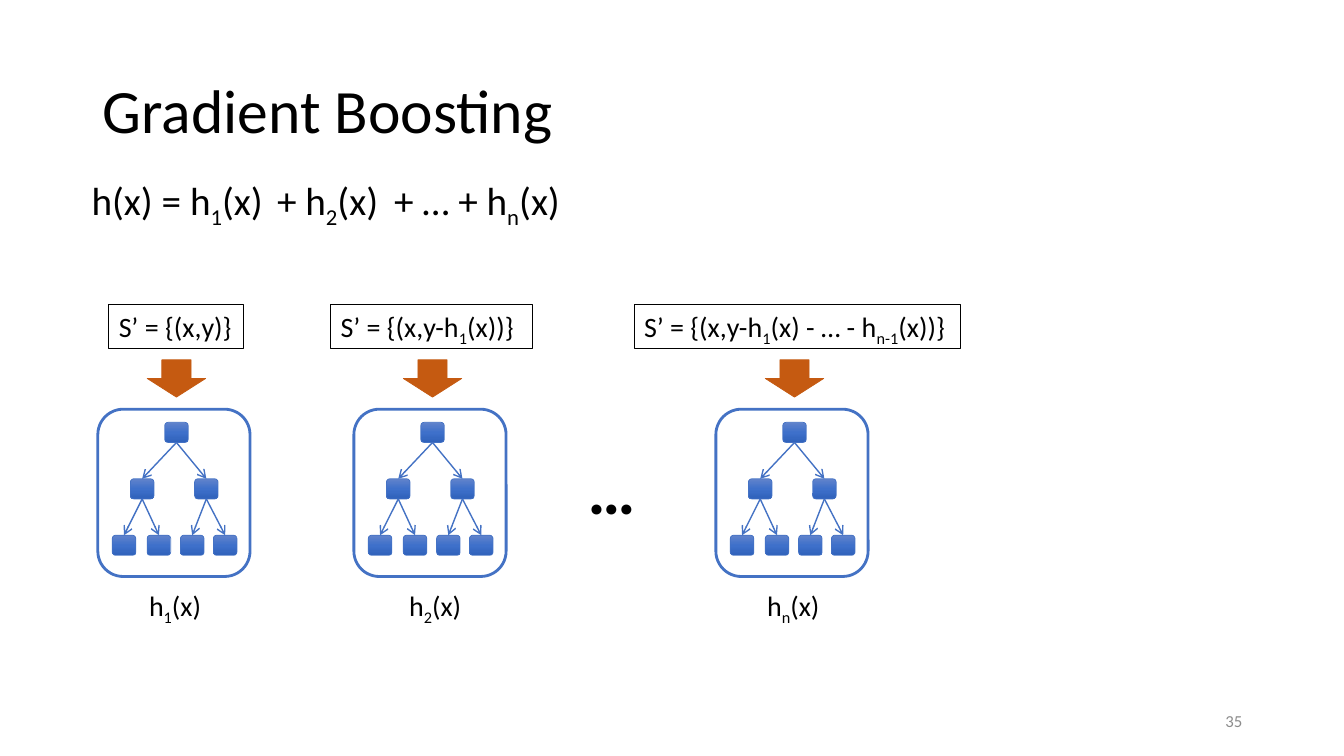
from copy import deepcopy

from lxml.etree import SubElement
from pptx import Presentation
from pptx.dml.color import RGBColor
from pptx.enum.shapes import MSO_CONNECTOR as Connector, MSO_SHAPE as Shape
from pptx.enum.text import MSO_ANCHOR as Anchor, PP_ALIGN as Align
from pptx.oxml.ns import qn
from pptx.util import Inches, Pt

COLORS = {
    "text": "000000", "number": "8C8C8C", "blue": "4472C4", "orange": "C55A11",
    "node_top": "6183CB", "node_middle": "3E70CA", "node_bottom": "3062BB",
}
FONT = "Calibri"

# The slide is a grid of 40 columns by 22.5 rows of square cells
SLIDE_WIDTH, SLIDE_HEIGHT = Inches(13.33), Inches(7.5)
CELL = SLIDE_HEIGHT / 22.5

# Tree levels: top of each level, and the node centres along it
TREE_LEVELS = [
    (0.39, [2.34]),
    (2.07, [1.32, 3.23]),
    (3.75, [0.78, 1.82, 2.81, 3.79]),
]
TREE_WIDTH, TREE_HEIGHT = 4.53, 4.98
TREE_CENTER = 2.34
NODE_WIDTH, NODE_HEIGHT = 0.7, 0.6

# In formulas, every second part is a subscript
EQUATION = [
    (2.43, 5.82, ["h(x) = h", "1", "(x)"]),
    (7.95, 3.69, ["+ h", "2", "(x)"]),
    (11.43, 5.64, ["+ … + h", "n", "(x)"]),
]
# Tree left, data box left and width, data formula, label left, label index
STAGES = [
    (2.91, 3.24, 4, ["S’ = {(x,y)}"], 4.14, "1"),
    (10.53, 9.84, 6, ["S’ = {(x,y-h", "1", "(x))}"], 11.88, "2"),
    (21.3, 18.87, 9.7, ["S’ = {(x,y-h", "1", "(x) - … - h", "n-1", "(x))}"], 22.53, "n"),
]


def color(name):
    return RGBColor.from_string(COLORS[name])


def cells(*lengths):
    return [round(length * CELL) for length in lengths]


def add_text(slide, box, parts, size, color_name="text", bold=False,
             anchor=Anchor.TOP, align=Align.LEFT):
    shape = slide.shapes.add_textbox(*cells(*box))
    frame = shape.text_frame
    frame.word_wrap = True
    frame.vertical_anchor = anchor
    if align == Align.LEFT:
        frame.margin_right = 0
    paragraph = frame.paragraphs[0]
    paragraph.alignment = align
    for index, part in enumerate(parts):
        run = paragraph.add_run()
        run.text = part
        run.font.name = FONT
        run.font.size = Pt(size)
        run.font.bold = bold
        run.font.color.rgb = color(color_name)
        if index % 2:
            run.font._element.set("baseline", "-25000")
    return shape


def add_preset(shapes, preset, box, line_color, line_width):
    shape = shapes.add_shape(preset, *cells(*box))
    shape.shadow.inherit = False
    shape.fill.background()
    shape.line.color.rgb = color(line_color)
    shape.line.width = Pt(line_width)
    return shape


def add_node(shapes, center, top):
    box = (center - NODE_WIDTH / 2, top, NODE_WIDTH, NODE_HEIGHT)
    node = add_preset(shapes, Shape.ROUNDED_RECTANGLE, box, "blue", 0.5)
    node.fill.gradient()
    node.fill.gradient_angle = 270
    stop_list = next(node._element.iter(qn("a:gsLst")))
    stop_list.append(deepcopy(stop_list[-1]))
    names = ("node_top", "node_middle", "node_bottom")
    for index, (stop, name) in enumerate(zip(node.fill.gradient_stops, names)):
        stop.position = index / 2
        stop.color.rgb = color(name)
    return node


def add_branch(shapes, parent, child):
    branch = shapes.add_connector(Connector.STRAIGHT, 0, 0, 0, 0)
    branch.begin_connect(parent, 2)
    branch.end_connect(child, 0)
    branch.line.color.rgb = color("blue")
    branch.line.width = Pt(1)
    SubElement(branch.line._get_or_add_ln(), qn("a:tailEnd"), type="arrow")
    SubElement(branch._element.spPr, qn("a:effectLst"))


def add_tree(slide, left, top):
    shapes = slide.shapes.add_group_shape().shapes
    levels = [
        [add_node(shapes, left + center, top + level_top) for center in centers]
        for level_top, centers in TREE_LEVELS
    ]
    for parents, children in zip(levels, levels[1:]):
        for index, child in enumerate(children):
            add_branch(shapes, parents[index // 2], child)
    box = (left, top, TREE_WIDTH, TREE_HEIGHT)
    add_preset(shapes, Shape.ROUNDED_RECTANGLE, box, "blue", 2)


def add_stage(slide, top, tree_left, data_left, data_width, data, label_left, index):
    # Training data
    data_box = add_text(slide, (data_left, top, data_width, 1.32), data, 20)
    data_box.line.color.rgb = color("text")
    data_box.line.width = Pt(0.75)
    # Arrow down to the tree
    arrow_width = 1.74
    arrow_box = (tree_left + TREE_CENTER - arrow_width / 2, top + 1.65, arrow_width, 1.11)
    arrow = add_preset(slide.shapes, Shape.DOWN_ARROW, arrow_box, "orange", 0.5)
    arrow.fill.solid()
    arrow.fill.fore_color.rgb = color("orange")
    # Tree and its label
    add_tree(slide, tree_left, top + 3.12)
    add_text(slide, (label_left, top + 8.31, 2.22, 1.32), ["h", index, "(x)"], 20)


def add_heading(slide, left, top, width, height):
    title = add_text(slide, (left, top, width, height), ["Gradient Boosting"], 44,
                     anchor=Anchor.MIDDLE)
    title.text_frame.paragraphs[0].line_spacing = 0.9


def add_equation(slide, top, height):
    for left, width, parts in EQUATION:
        add_text(slide, (left, top, width, height), parts, 28)


def main():
    presentation = Presentation()
    presentation.slide_width = SLIDE_WIDTH
    presentation.slide_height = SLIDE_HEIGHT
    slide = presentation.slides.add_slide(presentation.slide_layouts[6])

    # Title and formula
    add_heading(slide, 2.76, 1.2, 34.5, 4.35)
    add_equation(slide, 5.1, 1.7)

    # Boosting stages, with the gap before the last one
    for stage in STAGES:
        add_stage(slide, 9.06, *stage)
    add_text(slide, (17.19, 13.17, 2.04, 2.73), ["…"], 48, bold=True)

    # Slide number
    add_text(slide, (28.26, 20.85, 9, 1.2), ["35"], 12, "number",
             anchor=Anchor.MIDDLE, align=Align.RIGHT)

    presentation.save("out.pptx")


if __name__ == "__main__":
    main()
